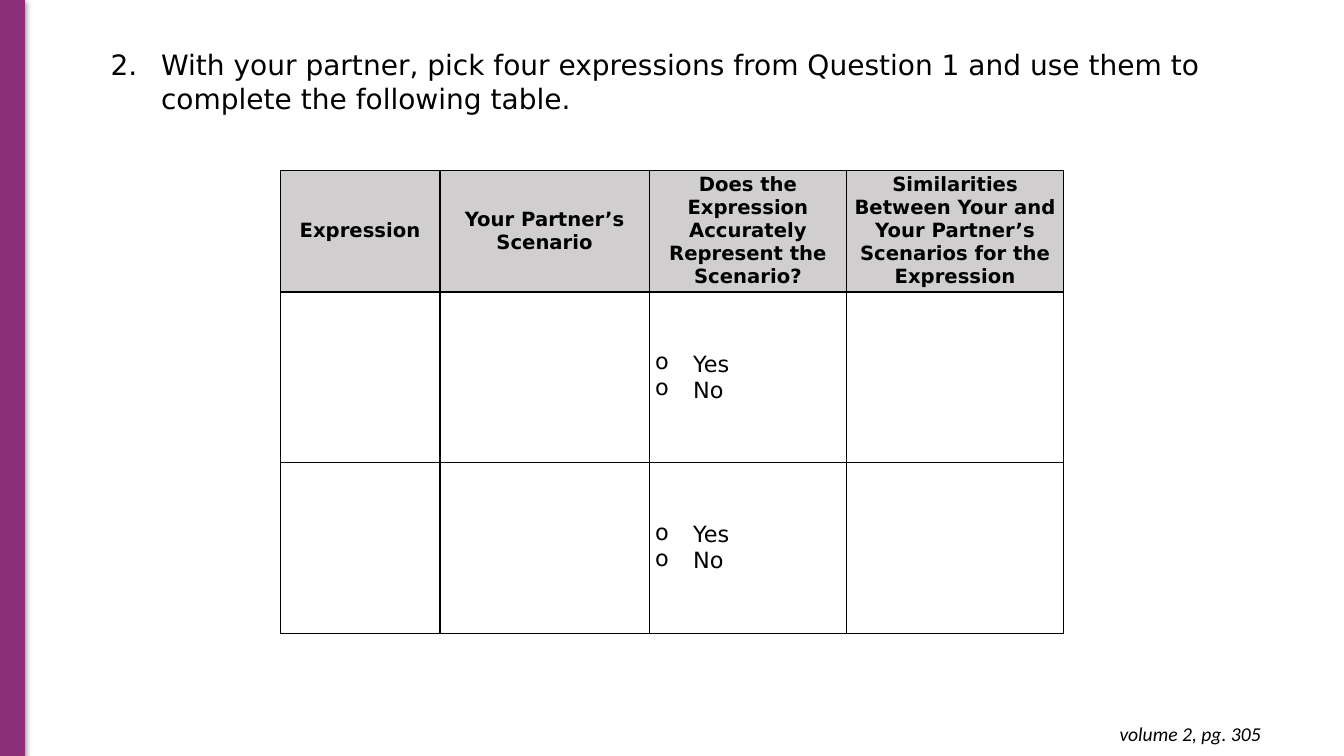
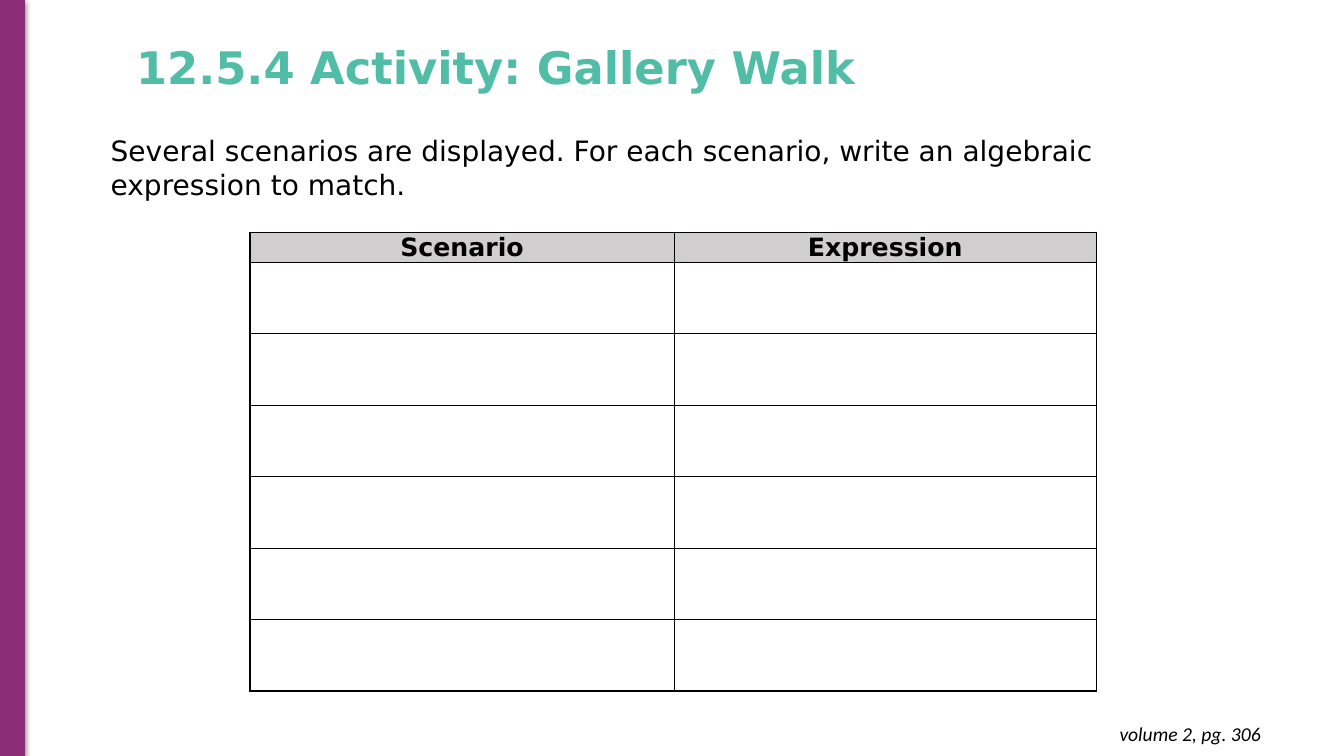
from lxml.etree import SubElement
from pptx import Presentation
from pptx.dml.color import RGBColor
from pptx.enum.shapes import MSO_SHAPE
from pptx.enum.text import MSO_ANCHOR, MSO_AUTO_SIZE, PP_ALIGN
from pptx.oxml import parse_xml
from pptx.oxml.ns import nsdecls, qn
from pptx.util import Cm, Pt

PURPLE, TEAL, GREY = "8B2D77", "52BDA6", "D0CECE"
BLACK, WHITE = "000000", "FFFFFF"
BODY_FONT, FOOTER_FONT = "DejaVu Sans", "Calibri"
SLIDE_W, SLIDE_H = 33.87, 19.05


def color(value):
    return RGBColor.from_string(value)


def add_run(p, text, size, font=BODY_FONT, fill=BLACK, bold=False, italic=False):
    r = p.add_run()
    r.text = text
    r.font.size = Pt(size)
    r.font.name = font
    r.font.color.rgb = color(fill)
    r.font.bold = bold
    r.font.italic = italic


def add_bullet(p, indent, tag, **attrs):
    pPr = p._p.get_or_add_pPr()
    pPr.set("marL", str(Cm(indent)))
    pPr.set("indent", str(-Cm(indent)))
    SubElement(SubElement(pPr, qn("a:buClr")), qn("a:srgbClr"), val=BLACK)
    SubElement(pPr, qn(tag), **attrs)


def add_text_box(s, box, grow=True):
    tf = s.shapes.add_textbox(*map(Cm, box)).text_frame
    tf.word_wrap = True
    tf.auto_size = MSO_AUTO_SIZE.SHAPE_TO_FIT_TEXT if grow else MSO_AUTO_SIZE.NONE
    return tf


def add_side_band(s, box):
    sp = s.shapes.add_shape(MSO_SHAPE.RECTANGLE, *map(Cm, box))
    sp.fill.solid()
    sp.fill.fore_color.rgb = color(PURPLE)
    sp.line.color.rgb = color(PURPLE)
    sp.line.width = Pt(0.75)
    sp.shadow.inherit = False
    effects = sp._element.spPr.find(qn("a:effectLst"))
    shadow = SubElement(effects, qn("a:outerShdw"), blurRad=str(Pt(4.5)),
                        dist=str(Pt(1.5)), dir="5400000", rotWithShape="0")
    tint = SubElement(shadow, qn("a:srgbClr"), val=BLACK)
    SubElement(tint, qn("a:alpha"), val="50000")


def add_footer(s, box, page):
    tf = add_text_box(s, box)
    tf.margin_left = tf.margin_right = tf.margin_top = tf.margin_bottom = Cm(0.25)
    p = tf.paragraphs[0]
    p.alignment = PP_ALIGN.RIGHT
    add_run(p, f"volume 2, pg. {page}", 14, FOOTER_FONT, italic=True)


def add_title(s, box, text):
    tf = add_text_box(s, box, grow=False)
    tf.vertical_anchor = MSO_ANCHOR.MIDDLE
    p = tf.paragraphs[0]
    p.line_spacing = 0.9
    add_run(p, text, 32, fill=TEAL, bold=True)


def add_prompt(s, box, text, number=None):
    p = add_text_box(s, box).paragraphs[0]
    if number:
        add_bullet(p, 1.27, "a:buAutoNum", type="arabicPeriod", startAt=str(number))
    add_run(p, text, 20)


def style_cell(cell, fill, margin):
    tcPr = cell._tc.get_or_add_tcPr()
    for side in "LRTB":
        tcPr.append(parse_xml(
            f'<a:ln{side} {nsdecls("a")} w="{Pt(1)}"><a:solidFill>'
            f'<a:srgbClr val="{BLACK}"/></a:solidFill></a:ln{side}>'))
    cell.fill.solid()
    cell.fill.fore_color.rgb = color(fill)
    cell.vertical_anchor = MSO_ANCHOR.MIDDLE
    cell.margin_left = cell.margin_right = Cm(margin)
    cell.margin_top = cell.margin_bottom = 0


def add_worksheet(s, left, top, widths, heights, headers, size, margin):
    frame = s.shapes.add_table(len(heights), len(widths), Cm(left), Cm(top),
                               Cm(sum(widths)), Cm(sum(heights)))
    table = frame.table
    table.first_row = table.horz_banding = False
    for column, width in zip(table.columns, widths):
        column.width = Cm(width)
    for i, (row, height) in enumerate(zip(table.rows, heights)):
        row.height = Cm(height)
        for cell in row.cells:
            style_cell(cell, WHITE if i else GREY, margin)
    for cell, header in zip(table.rows[0].cells, headers):
        p = cell.text_frame.paragraphs[0]
        p.alignment = PP_ALIGN.CENTER
        add_run(p, header, size, bold=True)
    return table


def add_choices(cell, choices):
    tf = cell.text_frame
    for i, choice in enumerate(choices):
        p = tf.add_paragraph() if i else tf.paragraphs[0]
        add_bullet(p, 0.96, "a:buChar", char="o")
        add_run(p, choice, 16)


def new_slide(prs, page):
    s = prs.slides.add_slide(prs.slide_layouts[6])
    s.background.fill.solid()
    s.background.fill.fore_color.rgb = color(WHITE)
    add_side_band(s, (0, 0, 0.61, SLIDE_H))
    add_footer(s, (24.71, 17.93, 7.32, 1.12), page)
    return s


def partner_slide(prs):
    s = new_slide(prs, 305)
    add_prompt(s, (2.54, 1.07, 29.21, 1.96),
               "With your partner, pick four expressions from Question 1 "
               "and use them to complete the following table.", number=2)
    headers = ["Expression", "Your Partner’s Scenario",
               "Does the Expression Accurately Represent the Scenario?",
               "Similarities Between Your and Your Partner’s Scenarios "
               "for the Expression"]
    table = add_worksheet(s, 7.06, 4.29, [4.03, 5.27, 4.98, 5.46],
                          [3.07] + [4.3] * 2, headers, 14, 0.15)
    for i in (1, 2):
        add_choices(table.cell(i, 2), ["Yes", "No"])


def gallery_slide(prs):
    s = new_slide(prs, 306)
    add_title(s, (3.18, -0.08, 22.28, 3.68), "12.5.4 Activity: Gallery Walk")
    add_prompt(s, (2.54, 3.25, 29.21, 1.96),
               "Several scenarios are displayed. For each scenario, "
               "write an algebraic expression to match.")
    add_worksheet(s, 6.3, 5.85, [10.69, 10.64], [0.75] + [1.8] * 6,
                  ["Scenario", "Expression"], 18, 0.1)


def main():
    prs = Presentation()
    prs.slide_width = Cm(SLIDE_W)
    prs.slide_height = Cm(SLIDE_H)
    partner_slide(prs)
    gallery_slide(prs)
    prs.save("out.pptx")


if __name__ == "__main__":
    main()
